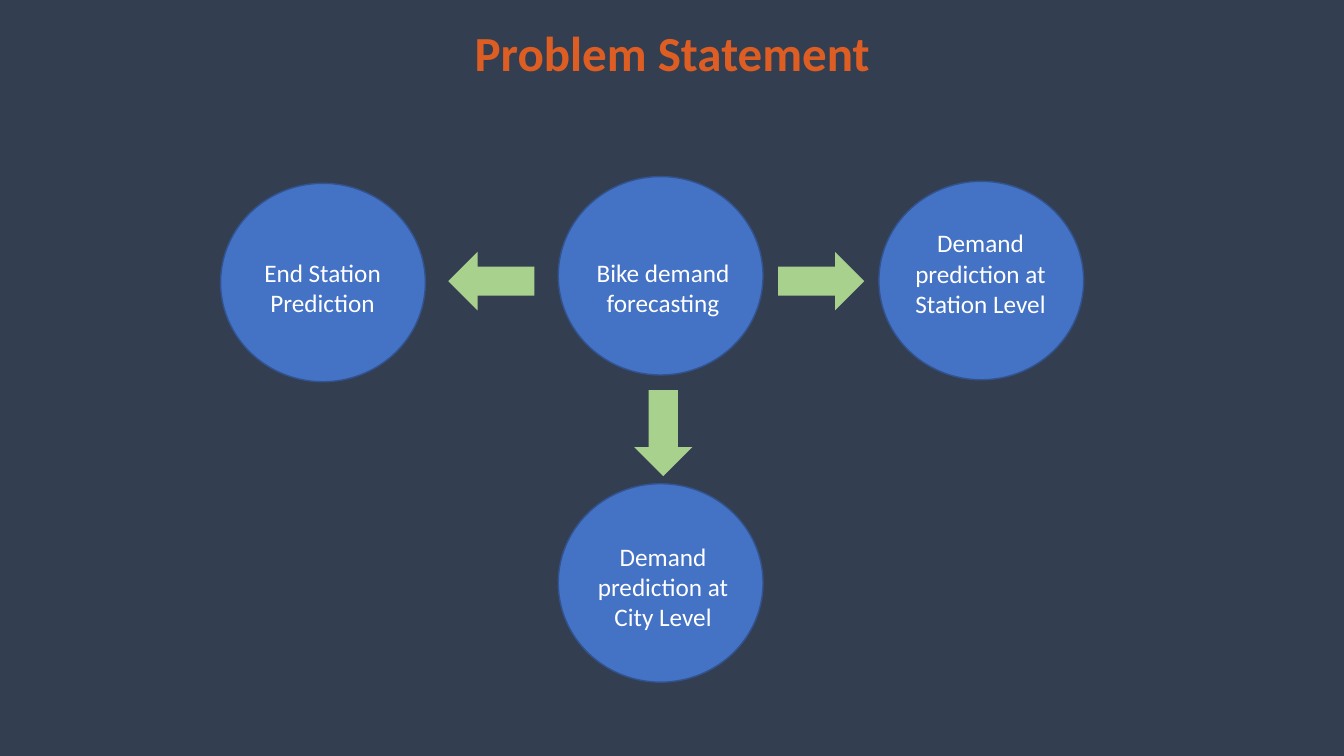
"""Build the problem statement slide: a forecasting hub with three prediction tasks."""
from dataclasses import dataclass

import pptx
import pptx.dml.color
import pptx.enum.shapes
import pptx.enum.text
import pptx.util
from pptx.util import Cm

MSO_SHAPE = pptx.enum.shapes.MSO_SHAPE
MSO_ANCHOR = pptx.enum.text.MSO_ANCHOR
MSO_AUTO_SIZE = pptx.enum.text.MSO_AUTO_SIZE

COLORS = {
    "background": "333F50",
    "circle": "4472C4",
    "outline": "32538F",
    "arrow": "A9D18E",
    "label": "FFFFFF",
    "title": "DD5D23",
}
CIRCLE_W, CIRCLE_H = 5.16, 5.0
ARROW_LENGTH, ARROW_WIDTH = 2.17, 1.47
INSET = Cm(0.13)


@dataclass
class Task:
    text: str
    circle: tuple[float, float]
    label: tuple[float, float, float, float]


@dataclass
class Arrow:
    preset: MSO_SHAPE
    left: float
    top: float


TASKS = [
    Task("Bike demand forecasting", (14.07, 4.45), (14.73, 6.35, 3.96, 1.73)),
    Task("Demand prediction at City Level", (14.07, 12.19), (14.78, 13.51, 3.86, 2.49)),
    Task("Demand prediction at Station Level", (22.15, 4.57), (22.78, 5.61, 3.86, 3.23)),
    Task("End Station Prediction", (5.56, 4.62), (6.2, 6.35, 3.86, 1.73)),
]
ARROWS = [
    Arrow(MSO_SHAPE.DOWN_ARROW, 15.98, 9.83),
    Arrow(MSO_SHAPE.RIGHT_ARROW, 19.61, 6.35),
    Arrow(MSO_SHAPE.LEFT_ARROW, 11.3, 6.35),
]


def rgb(name: str) -> pptx.dml.color.RGBColor:
    """Return a named colour."""
    return pptx.dml.color.RGBColor.from_string(COLORS[name])


def write(s, text: str, size: int, color: str, bold: bool = False):
    """Fill a shape with one centred paragraph and return it."""
    tf = s.text_frame
    tf.word_wrap = True
    tf.margin_left = tf.margin_right = tf.margin_top = tf.margin_bottom = INSET
    p = tf.paragraphs[0]
    p.text = text
    p.alignment = pptx.enum.text.PP_ALIGN.CENTER
    p.font.name = "Calibri"
    p.font.size = pptx.util.Pt(size)
    p.font.bold = bold
    p.font.color.rgb = rgb(color)
    return p


def add_solid(slide, preset: MSO_SHAPE, box: tuple[float, float, float, float], color: str):
    """Add a flat filled preset shape and return it."""
    s = slide.shapes.add_shape(preset, *map(Cm, box))
    s.shadow.inherit = False
    s.fill.solid()
    s.fill.fore_color.rgb = rgb(color)
    return s


def add_circle(slide, task: Task) -> None:
    """Add the outlined circle of a task."""
    s = add_solid(slide, MSO_SHAPE.OVAL, (*task.circle, CIRCLE_W, CIRCLE_H), "circle")
    s.line.color.rgb = rgb("outline")
    s.line.width = pptx.util.Pt(1)


def add_arrow(slide, arrow: Arrow) -> None:
    """Add a block arrow leading away from the hub."""
    size = (ARROW_LENGTH, ARROW_WIDTH)
    if arrow.preset == MSO_SHAPE.DOWN_ARROW:
        size = size[::-1]
    s = add_solid(slide, arrow.preset, (arrow.left, arrow.top, *size), "arrow")
    s.line.fill.background()


def add_label(slide, task: Task) -> None:
    """Add the caption of a task."""
    s = slide.shapes.add_textbox(*map(Cm, task.label))
    write(s, task.text, 18, "label")
    s.text_frame.auto_size = MSO_AUTO_SIZE.SHAPE_TO_FIT_TEXT


def set_title(slide, text: str) -> None:
    """Place and format the title placeholder."""
    s = slide.shapes.title
    s.left, s.top, s.width, s.height = map(Cm, (2.34, -0.2, 29.21, 3.18))
    p = write(s, text, 35, "title", bold=True)
    p.line_spacing = 0.9
    s.text_frame.vertical_anchor = MSO_ANCHOR.MIDDLE
    s.text_frame.auto_size = MSO_AUTO_SIZE.NONE


def main() -> None:
    """Create and save the presentation."""
    prs = pptx.Presentation()
    prs.slide_width, prs.slide_height = Cm(33.87), Cm(19.05)
    slide = prs.slides.add_slide(prs.slide_layouts.get_by_name("Title Only"))
    slide.background.fill.solid()
    slide.background.fill.fore_color.rgb = rgb("background")
    set_title(slide, "Problem Statement")
    for task in TASKS:
        add_circle(slide, task)
        add_label(slide, task)
    for arrow in ARROWS:
        add_arrow(slide, arrow)
    prs.save("out.pptx")


if __name__ == "__main__":
    main()
